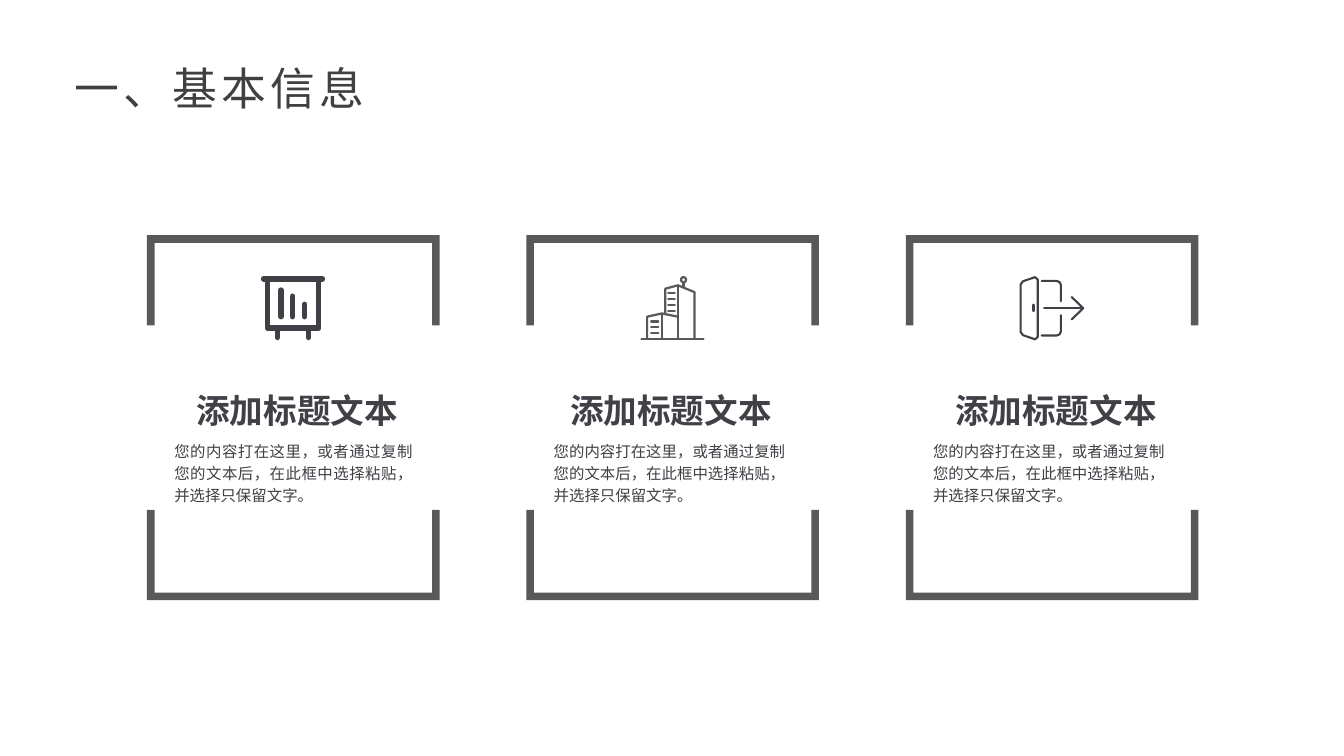
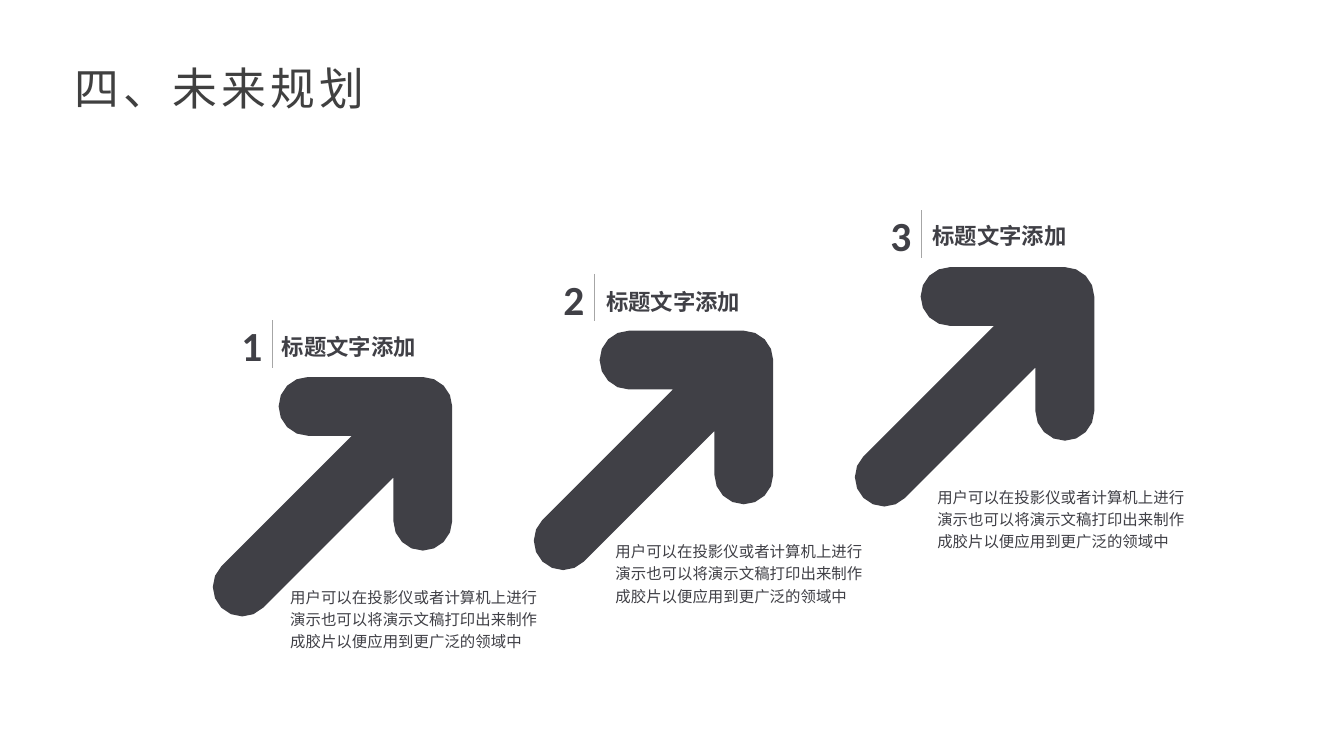
from math import cos, radians, sin

from pptx import Presentation
from pptx.dml.color import RGBColor as Rgb
from pptx.enum.shapes import MSO_CONNECTOR as Conn
from pptx.enum.text import MSO_ANCHOR as Anchor, MSO_AUTO_SIZE as Fit, PP_ALIGN as Align
from pptx.oxml import parse_xml
from pptx.oxml.ns import nsdecls
from pptx.util import Pt

HUES = {"title": "404040", "ink": "404046", "frame": "595959", "rule": "A6A6A6"}
FONT = "Calibri"
CARD = "您的内容打在这里，或者通过复制您的文本后，在此框中选择粘贴，并选择只保留文字。"
STEP = "用户可以在投影仪或者计算机上进行演示也可以将演示文稿打印出来制作成胶片以便应用到更广泛的领域中"


def hue(name):
    """Return the colour that goes by a name."""
    return Rgb.from_string(HUES[name])


def write(frame, text, size=11, color="ink", bold=False, align=Align.LEFT,
          lead=1.2, gap=0, inset=None, anchor=Anchor.TOP):
    """Fill a text frame with one formatted paragraph."""
    frame.word_wrap = True
    frame.auto_size = Fit.NONE
    frame.vertical_anchor = anchor
    if inset is not None:
        frame.margin_left = frame.margin_right = Pt(inset)
        frame.margin_top = frame.margin_bottom = Pt(inset)
    par = frame.paragraphs[0]
    par.alignment = align
    par.line_spacing = lead
    run = par.add_run()
    run.text = text
    font = run.font
    font.name, font.size, font.bold = FONT, Pt(size), bold
    font.color.rgb = hue(color)
    if gap:
        run._r.get_or_add_rPr().set("spc", str(gap * 100))


def label(slide, box, text, **form):
    """Add a text box."""
    area = slide.shapes.add_textbox(*map(Pt, box))
    write(area.text_frame, text, **form)


def paint(shape, fill=None, line=None, width=1):
    """Set the fill and the line of a shape, without shadow."""
    shape.shadow.inherit = False
    if fill:
        shape.fill.solid()
        shape.fill.fore_color.rgb = hue(fill)
    else:
        shape.fill.background()
    if line:
        shape.line.color.rgb = hue(line)
        shape.line.width = Pt(width)
        shape.line._get_or_add_ln().set("cap", "rnd")
    else:
        shape.line.fill.background()


def trace(slide, left, top, paths, close=True, **look):
    """Draw paths of points, measured from a corner, as one shape."""
    paths = [[(x * 100, y * 100) for x, y in path] for path in paths]
    pen = slide.shapes.build_freeform(*paths[0][0], scale=127)
    for num, path in enumerate(paths):
        if num:
            pen.move_to(*path[0])
        pen.add_line_segments(path[1:], close=close)
    paint(pen.convert_to_shape(Pt(left), Pt(top)), **look)


def rule(slide, left, top, high):
    """Draw a thin upright line."""
    line = slide.shapes.add_connector(
        Conn.STRAIGHT, Pt(left), Pt(top), Pt(left), Pt(top + high))
    line.line.color.rgb = hue("rule")
    line.line.width = Pt(0.25)
    line._element.spPr.append(parse_xml(f"<a:effectLst {nsdecls('a')}/>"))


def start(deck, text):
    """Add a slide with its title."""
    slide = deck.slides.add_slide(deck.slide_layouts[5])
    write(slide.shapes.title.text_frame, text, size=32, color="title",
          lead=1, gap=3, anchor=Anchor.MIDDLE)
    return slide


def arc(x, y, size, begin, end):
    """List the points of an arc about a centre."""
    count = (end - begin) * 2 // 45
    turns = [radians(begin + 22.5 * num) for num in range(count + 1)]
    return [(x + size * cos(a), y + size * sin(a)) for a in turns]


def board(slide, left, top):
    """Draw a chart board icon."""
    lines = [
        [(2, 2), (44, 2)],
        [(4.7, 2), (4.7, 37.2), (41.4, 37.2), (41.4, 2)],
    ]
    bars = [(14.4, 10, 29), (22.8, 14.4, 29), (31.4, 20.2, 29),
            (11.9, 38, 43.8), (34.1, 38, 43.8)]
    lines += [[(x, high), (x, low)] for x, high, low in bars]
    trace(slide, left, top, lines, close=False, line="ink", width=3.9)


def tower(slide, left, top):
    """Draw an office building icon."""
    lines = [
        [(0.9, 44.7), (45.3, 44.7)],
        [(5, 44.7), (5, 29), (15.5, 26.7), (27, 29)],
        [(15.5, 27), (15.5, 44.7)],
        [(18, 26.5), (18, 9), (27, 6.6), (38.9, 11.5), (38.9, 44.7)],
        [(27, 7), (27, 44.7)],
        [(31, 4.5), (31, 8)],
        arc(31, 2.6, 1.8, 0, 360),
    ]
    lines += [[(20, y), (24.8, y)] for y in (12.2, 16.4, 20.7, 24.9)]
    lines += [[(7.8, y), (13, y)] for y in (32.5, 36.5, 40.5)]
    trace(slide, left, top, lines, close=False, line="frame", width=1.6)


def door(slide, left, top):
    """Draw a way out icon."""
    leaf = [(0.7, 6), (2.5, 3.7), (11, 0.8), (13, 2.5), (13, 43.5),
            (11, 45.2), (2.5, 42.3), (0.7, 40)]
    jamb = [(15.8, 3.5), (26.5, 3.5), (28.6, 4.4), (29.5, 6.5), (29.5, 18)]
    lines = [
        leaf + leaf[:1],
        [(9.9, 20.5), (9.9, 25)],
        jamb,
        [(x, 46 - y) for x, y in jamb],
        [(17.5, 23), (45.4, 23)],
        [(37.2, 15), (45.4, 23), (37.2, 31)],
    ]
    trace(slide, left, top, lines, close=False, line="ink", width=1.5)


def card(slide, box, icon, span, align, flow):
    """Place a split frame with icon, heading and text."""
    left, top, wide, high = box
    leg, bar = 64.5, 5.4
    upper = [(0, 0), (wide, 0), (wide, leg), (wide - bar, leg),
             (wide - bar, bar), (bar, bar), (bar, leg), (0, leg)]
    lower = [(x, high - y) for x, y in upper]
    trace(slide, left, top, [upper, lower], fill="frame")
    icon(slide, left + 81.3, top + 29.2)
    label(slide, (left + 12.4, top + 141.6, 184.5, 55.5), CARD, align=flow)
    inset, room = span
    label(slide, (left + inset, top + 101.2, room, 40), "添加标题文本",
          size=24, bold=True, align=align)


def arrow(slide, left, top, side=171, half=21, arm=103):
    """Draw a rounded arrow that points up and right in a square."""
    far = side - half
    edge = half * 2 ** 0.5
    notch = side - edge - 2 * half
    outline = (arc(side - arm, half, half, 90, 270)
               + arc(far, half, half, 270, 360)
               + arc(far, arm, half, 0, 180)
               + [(side - 2 * half, side - notch)]
               + arc(half, far, half, 45, 225)
               + [(notch, 2 * half)])
    trace(slide, left, top, [outline], fill="ink")


def stage(slide, num, left, top, mark, head, note):
    """Place one numbered arrow with heading and text."""
    post = left + mark
    label(slide, (post - 27, top - 40.4, 20, 33), str(num), size=29.6,
          bold=True, align=Align.RIGHT, lead=1, inset=0)
    rule(slide, post, top - 40.6, 34)
    arrow(slide, left, top)
    texts = [(head, 176.5, 29, "标题文字添加", 16, True),
             (note, 198, 55.5, STEP, 11, False)]
    for (x, y), wide, high, text, size, bold in texts:
        label(slide, (left + x, top + y, wide, high), text, size=size, bold=bold)


def basics(deck):
    """Build the slide of three cards."""
    slide = start(deck, "一、基本信息")
    side = (22.3, 164), Align.RIGHT
    cards = [(board, *side, Align.JUSTIFY),
             (tower, (0, 206.5), Align.CENTER, Align.LEFT),
             (door, *side, Align.LEFT)]
    for num, parts in enumerate(cards):
        card(slide, (105 + 271 * num, 168, 209, 260.7), *parts)


def plans(deck):
    """Build the slide of three rising arrows."""
    slide = start(deck, "四、未来规划")
    stages = [(269.3, 42.5, (42.3, -39), (48.2, 144.7)),
              (236.2, 43.2, (44.6, -38), (51.2, 145)),
              (190.8, 47.4, (48.4, -39.6), (51.8, 151.6))]
    for num, parts in enumerate(stages):
        stage(slide, num + 1, 152 + 229.3 * num, *parts)


def main():
    """Build and save the deck."""
    deck = Presentation()
    deck.slide_width, deck.slide_height = Pt(960), Pt(540)
    title = deck.slide_layouts[5].placeholders[0]
    title.left, title.top, title.width, title.height = map(Pt, (46, 39.2, 264, 46))
    basics(deck)
    plans(deck)
    deck.save("out.pptx")


if __name__ == "__main__":
    main()
